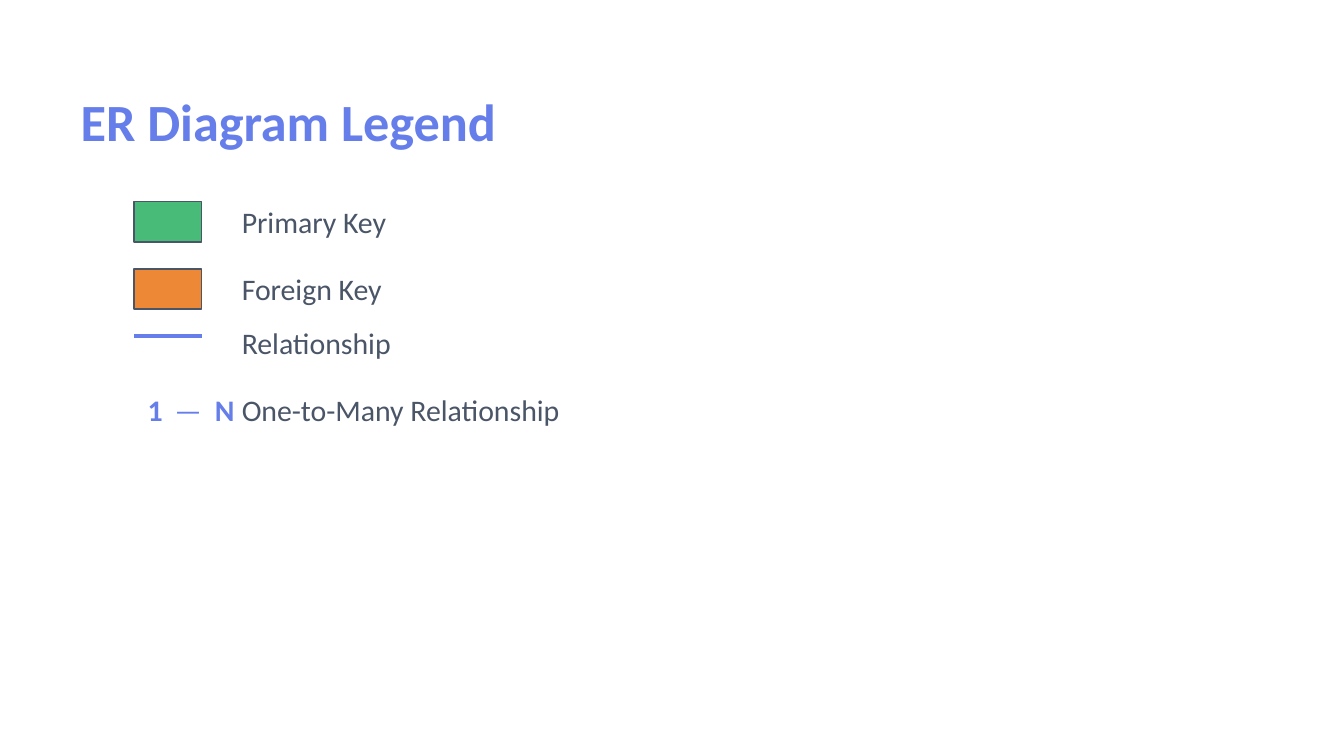
from lxml import etree
from pptx import Presentation
from pptx.dml.color import RGBColor
from pptx.enum.shapes import MSO_CONNECTOR, MSO_SHAPE
from pptx.enum.text import MSO_ANCHOR, MSO_AUTO_SIZE, PP_ALIGN
from pptx.oxml.ns import qn
from pptx.util import Cm, Pt

RECTANGLE = MSO_SHAPE.RECTANGLE
STRAIGHT = MSO_CONNECTOR.STRAIGHT
MIDDLE = MSO_ANCHOR.MIDDLE
NO_AUTOFIT = MSO_AUTO_SIZE.NONE
LEFT = PP_ALIGN.LEFT

INDIGO = RGBColor(0x66, 0x7E, 0xEA)
SLATE = RGBColor(0x4A, 0x55, 0x68)
GREEN = RGBColor(0x48, 0xBB, 0x78)
ORANGE = RGBColor(0xED, 0x89, 0x36)
FONT = "Calibri"

# Content: label, its top in cm
TITLE = "ER Diagram Legend"
LABELS = [
    ("Primary Key", 3.81),
    ("Foreign Key", 5.08),
    ("Relationship", 6.1),
    ("One-to-Many Relationship", 7.37),
]
SWATCHES = [GREEN, ORANGE]  # beside the first labels
LINE_TOP = 6.35
CARDINALITY = [("1", 0.51, True), ("—", 0.76, False), ("N", 0.51, True)]  # text, width, bold

# Layout in cm
KEY_LEFT, KEY_W = 2.54, 1.27
LABEL_LEFT, LABEL_W = 4.32, 7.62
ROW_H = 0.76


def write(sp, text, size, color, bold=False):
    tf = sp.text_frame
    tf.word_wrap = True
    tf.auto_size = NO_AUTOFIT
    tf.vertical_anchor = MIDDLE
    p = tf.paragraphs[0]
    p.alignment = LEFT
    r = p.add_run()
    r.text = text
    r.font.name = FONT
    r.font.size = Pt(size)
    r.font.bold = bold
    r.font.color.rgb = color


def add_text(s, left, top, width, text, color, bold=False):
    sp = s.shapes.add_textbox(Cm(left), Cm(top), Cm(width), Cm(ROW_H))
    sp.text_frame.margin_right = 0
    write(sp, text, 16, color, bold)


prs = Presentation()
prs.slide_width, prs.slide_height = Cm(25.4), Cm(14.29)
s = prs.slides.add_slide(prs.slide_layouts[5])

# Title
title = s.shapes.title
title.left, title.top, title.width, title.height = Cm(1.27), Cm(1.27), Cm(22.86), Cm(2.03)
write(title, TITLE, 28, INDIGO, bold=True)

# Labels
for text, top in LABELS:
    add_text(s, LABEL_LEFT, top, LABEL_W, text, SLATE)

# Key swatches
for color, (_, top) in zip(SWATCHES, LABELS):
    sp = s.shapes.add_shape(RECTANGLE, Cm(KEY_LEFT), Cm(top), Cm(KEY_W), Cm(ROW_H))
    sp.shadow.inherit = False
    sp.fill.solid()
    sp.fill.fore_color.rgb = color
    sp.line.color.rgb = SLATE
    sp.line.width = Pt(1)

# Relationship line
line = s.shapes.add_connector(
    STRAIGHT, Cm(KEY_LEFT), Cm(LINE_TOP), Cm(KEY_LEFT + KEY_W), Cm(LINE_TOP))
line.line.color.rgb = INDIGO
line.line.width = Pt(2)
etree.SubElement(line._element.spPr, qn("a:effectLst"))

# Cardinality symbols, side by side
left = KEY_LEFT
for text, width, bold in CARDINALITY:
    add_text(s, left, LABELS[-1][1], width, text, INDIGO, bold)
    left += width

prs.save("out.pptx")
